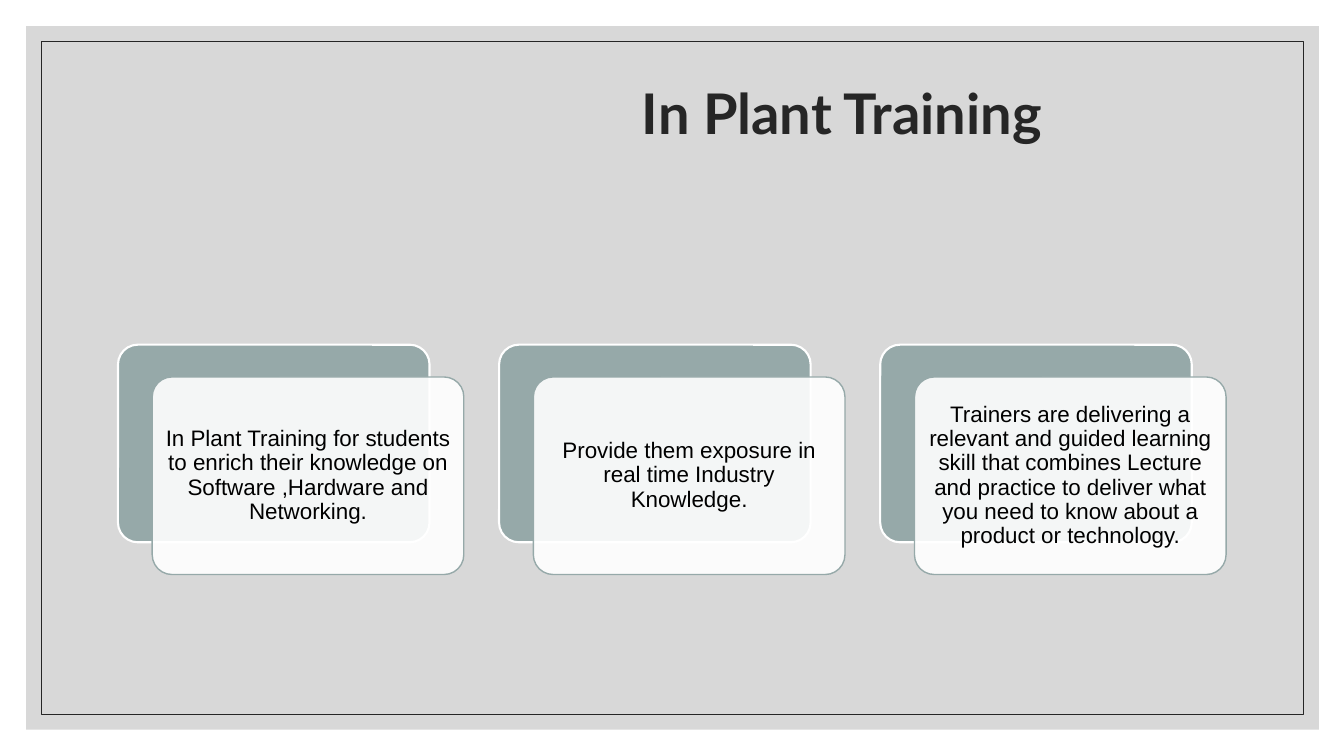
from dataclasses import dataclass

from lxml.etree import SubElement
from pptx import Presentation
from pptx.dml.color import RGBColor
from pptx.enum.shapes import MSO_SHAPE as Shape
from pptx.enum.text import MSO_ANCHOR as Anchor, MSO_AUTO_SIZE as AutoSize, PP_ALIGN as Align
from pptx.oxml.ns import qn
from pptx.util import Inches, Pt


@dataclass(frozen=True)
class Theme:
    """Colours, fonts and type sizes of the slide."""
    panel: str = "BFBFBF"
    ink: str = "262626"
    accent: str = "96A9A9"
    white: str = "FFFFFF"
    body: str = "000000"
    title_font: str = "Lato"
    body_font: str = "Arial"
    title_size: int = 40
    body_size: int = 16


THEME = Theme()
CARD_TEXTS = (
    "In Plant Training for students to enrich their knowledge on Software ,Hardware and Networking.",
    "Provide them exposure in real time Industry Knowledge.",
    "Trainers are delivering a relevant and guided learning skill that combines Lecture "
    "and practice to deliver what you need to know about a product or technology.",
)
CARD_LEFT, CARD_TOP, CARD_STEP = 1.17, 3.42, 3.78
CARD_WIDTH, CARD_HEIGHT = 3.09, 1.96
FRONT_SHIFT_X, FRONT_SHIFT_Y = 0.34, 0.32


def add_box(page, kind, at, fill=None, opacity=100, line=None, line_width=1):
    """Add a preset shape with an optional fill and outline."""
    box = page.shapes.add_shape(kind, *(Inches(length) for length in at))
    box.shadow.inherit = False
    if fill:
        box.fill.solid()
        box.fill.fore_color.rgb = RGBColor.from_string(fill)
        if opacity < 100:
            colour = box.fill._xPr.find(qn("a:solidFill"))[0]
            SubElement(colour, qn("a:alpha"), val=str(opacity * 1000))
    else:
        box.fill.background()
    if line:
        box.line.color.rgb = RGBColor.from_string(line)
        box.line.width = Pt(line_width)
    else:
        box.line.fill.background()
    return box


def write_text(box, text, font, size, colour, bold=False):
    """Write one centred paragraph into a shape."""
    frame = box.text_frame
    frame.text = text
    frame.word_wrap = True
    frame.auto_size = AutoSize.NONE
    frame.vertical_anchor = Anchor.MIDDLE
    para = frame.paragraphs[0]
    para.alignment = Align.CENTER
    para.line_spacing = 0.9
    for span in para.runs:
        span.font.name = font
        span.font.size = Pt(size)
        span.font.bold = bold
        span.font.color.rgb = RGBColor.from_string(colour)
    return frame


def add_frame(page):
    """Draw the grey panel and its thin inner border."""
    add_box(page, Shape.RECTANGLE, (0.26, 0.26, 12.82, 6.98), THEME.panel, 60)
    add_box(page, Shape.RECTANGLE, (0.41, 0.41, 12.52, 6.68), line=THEME.ink, line_width=0.5)


def set_title(page, text):
    """Place the title above the panel, right of the centre."""
    title = page.shapes.title
    page.shapes._spTree.append(title._element)
    title.left, title.top = Inches(1.17), Inches(0.7)
    title.width, title.height = Inches(11), Inches(1.5)
    frame = write_text(title, text, THEME.title_font, THEME.title_size, THEME.ink, True)
    frame.margin_left = Inches(3.46)
    frame.margin_bottom = Inches(0.65)


def add_card(page, left, text):
    """Add a coloured back plate and the text card in front of it."""
    back = add_box(page, Shape.ROUNDED_RECTANGLE, (left, CARD_TOP, CARD_WIDTH, CARD_HEIGHT),
                   THEME.accent, line=THEME.white, line_width=1.5)
    front = add_box(page, Shape.ROUNDED_RECTANGLE,
                    (left + FRONT_SHIFT_X, CARD_TOP + FRONT_SHIFT_Y, CARD_WIDTH, CARD_HEIGHT),
                    THEME.white, 90, THEME.accent)
    for plate in (back, front):
        plate.adjustments[0] = 0.1
    frame = write_text(front, text, THEME.body_font, THEME.body_size, THEME.body)
    frame.margin_left = frame.margin_right = Inches(0.07)
    frame.margin_top = frame.margin_bottom = Inches(0.07)


def main():
    """Build the slide and save the deck."""
    deck = Presentation()
    deck.slide_width, deck.slide_height = Inches(13.33), Inches(7.5)
    page = deck.slides.add_slide(deck.slide_layouts[5])
    add_frame(page)
    set_title(page, "In Plant Training")
    for index, text in enumerate(CARD_TEXTS):
        add_card(page, CARD_LEFT + index * CARD_STEP, text)
    deck.save("out.pptx")


if __name__ == "__main__":
    main()
